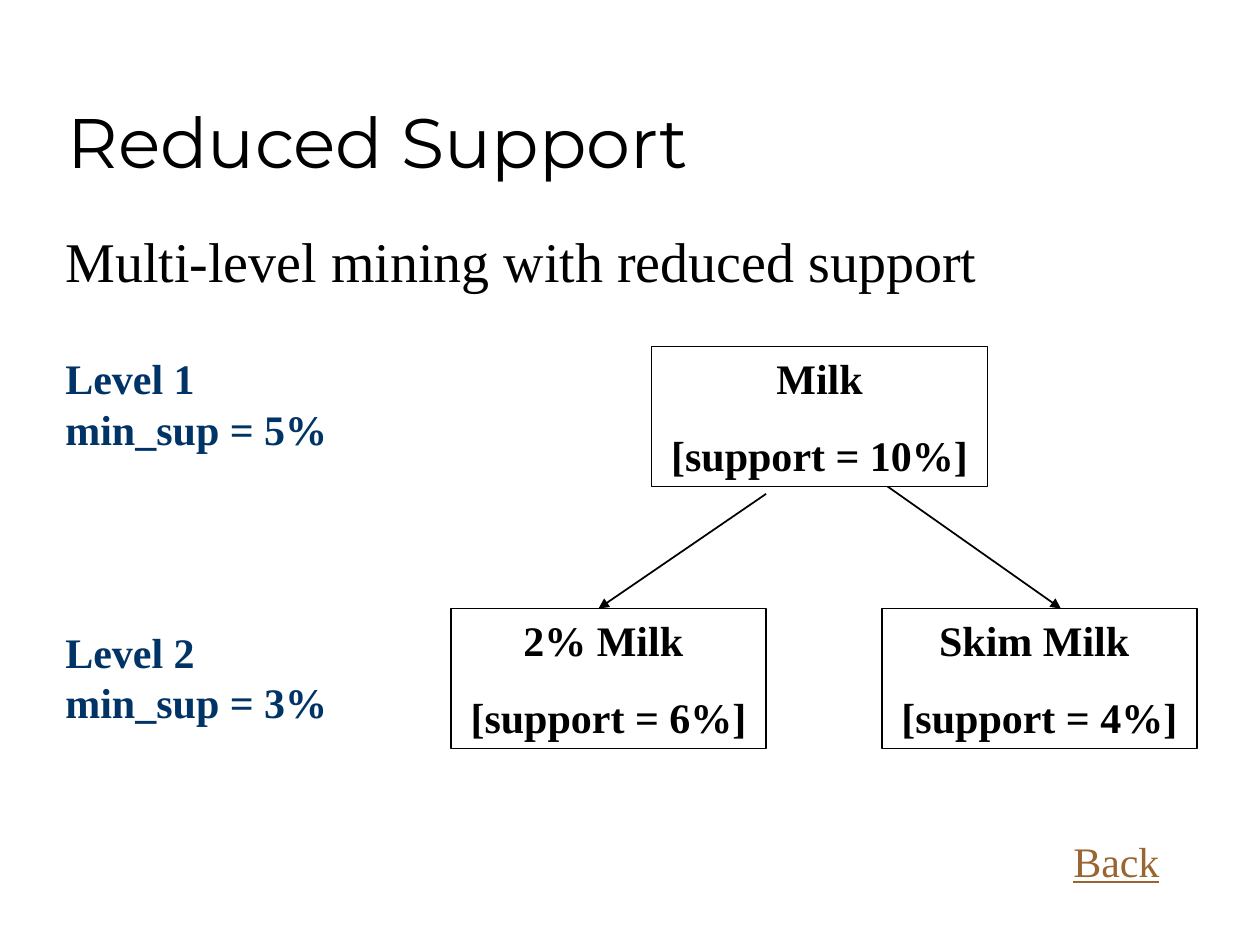
from lxml.etree import SubElement
from pptx import Presentation
from pptx.dml.color import RGBColor
from pptx.enum.shapes import MSO_CONNECTOR, MSO_SHAPE
from pptx.enum.text import MSO_ANCHOR, MSO_AUTO_SIZE, PP_ALIGN
from pptx.oxml.ns import qn
from pptx.util import Inches, Pt

BLACK = RGBColor(0x00, 0x00, 0x00)
WHITE = RGBColor(0xFF, 0xFF, 0xFF)
NAVY = RGBColor(0x00, 0x33, 0x66)
BROWN = RGBColor(0x99, 0x66, 0x33)
SERIF = "Times New Roman"

TITLE = "Reduced Support"
SUBTITLE = "Multi-level mining with reduced support"
LEFT = 0.42
NODE_HEIGHT = 1.11
ROOT_TOP, CHILD_TOP = 2.75, 4.83

# lines, top
LEVELS = [
    (["Level 1", "min_sup = 5%"], ROOT_TOP),
    (["Level 2", "min_sup = 3%"], 4.92),
]
# lines, left, top, width
CHILDREN = [
    (["2% Milk ", "[support = 6%]"], 3.58, CHILD_TOP, 2.5),
    (["Skim Milk ", "[support = 4%]"], 7, CHILD_TOP, 2.5),
]
ROOT = (["Milk", "[support = 10%]"], 5.17, ROOT_TOP, 2.67)
# start, end
ARROWS = [
    ((6.08, 3.92), (4.75, CHILD_TOP)),
    ((7, 3.83), (8.42, CHILD_TOP)),
]


def write(shape, lines, size=24, color=BLACK, name=SERIF, bold=False,
          underline=False, align=PP_ALIGN.LEFT, gap=0,
          anchor=MSO_ANCHOR.TOP, wrap=True):
    frame = shape.text_frame
    frame.word_wrap = wrap
    if not wrap:
        frame.auto_size = MSO_AUTO_SIZE.SHAPE_TO_FIT_TEXT
    frame.vertical_anchor = anchor
    for index, line in enumerate(lines):
        para = frame.paragraphs[0] if index == 0 else frame.add_paragraph()
        para.text = line
        para.alignment = align
        if index:
            para.space_before = Pt(gap)
        font = para.font
        font.name, font.size, font.bold = name, Pt(size), bold
        font.underline = underline
        font.color.rgb = color


def add_text(page, lines, left, top, width, height, **style):
    box = page.shapes.add_textbox(*map(Inches, (left, top, width, height)))
    write(box, lines, **style)


def add_node(page, lines, left, top, width):
    node = page.shapes.add_shape(
        MSO_SHAPE.RECTANGLE, *map(Inches, (left, top, width, NODE_HEIGHT)))
    node.shadow.inherit = False
    node.fill.solid()
    node.fill.fore_color.rgb = WHITE
    node.line.color.rgb = BLACK
    node.line.width = Pt(0.75)
    write(node, lines, bold=True, align=PP_ALIGN.CENTER, gap=15)


def add_arrow(page, start, end):
    arrow = page.shapes.add_connector(
        MSO_CONNECTOR.STRAIGHT, *map(Inches, start + end))
    arrow.line.color.rgb = BLACK
    arrow.line.width = Pt(1)
    SubElement(arrow.line._get_or_add_ln(), qn("a:tailEnd"), type="triangle")
    SubElement(arrow._element.spPr, qn("a:effectLst"))


def main():
    deck = Presentation()
    deck.slide_width, deck.slide_height = Inches(10), Inches(7.5)
    page = deck.slides.add_slide(deck.slide_layouts[6])

    add_text(page, [TITLE], 0.44, 0.25, 8.5, 1.25, size=40,
             name="Montserrat", anchor=MSO_ANCHOR.BOTTOM)
    add_text(page, [SUBTITLE], LEFT, 1.75, 9.17, 1.08, size=32)
    for child in CHILDREN:
        add_node(page, *child)
    for start, end in ARROWS:
        add_arrow(page, start, end)
    for lines, top in LEVELS:
        add_text(page, lines, LEFT, top, 2.28, 0.9,
                 color=NAVY, bold=True, wrap=False)
    add_text(page, ["Back"], 8.42, 6.58, 0.9, 0.5,
             color=BROWN, underline=True, wrap=False)
    add_node(page, *ROOT)

    deck.save("out.pptx")


if __name__ == "__main__":
    main()
